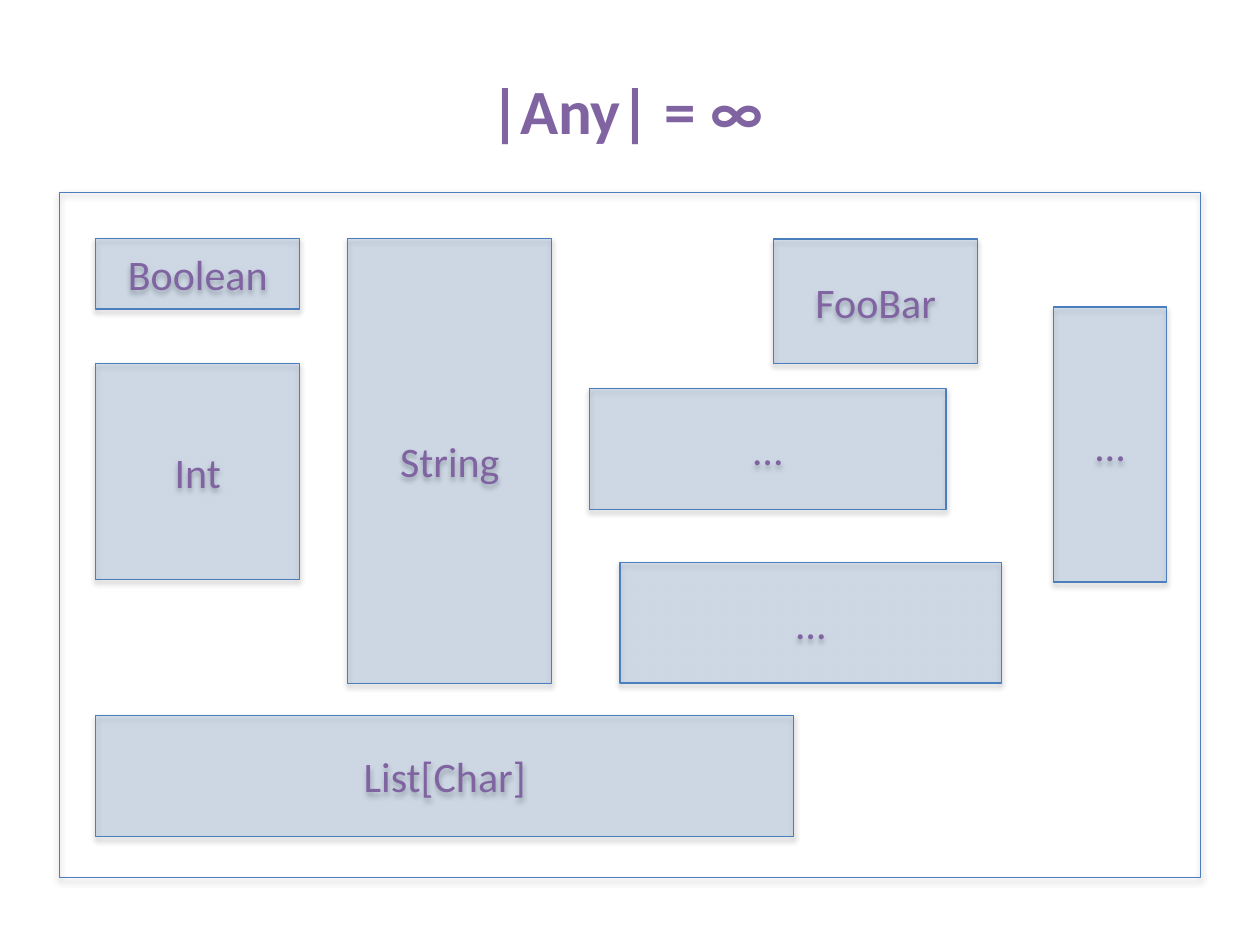
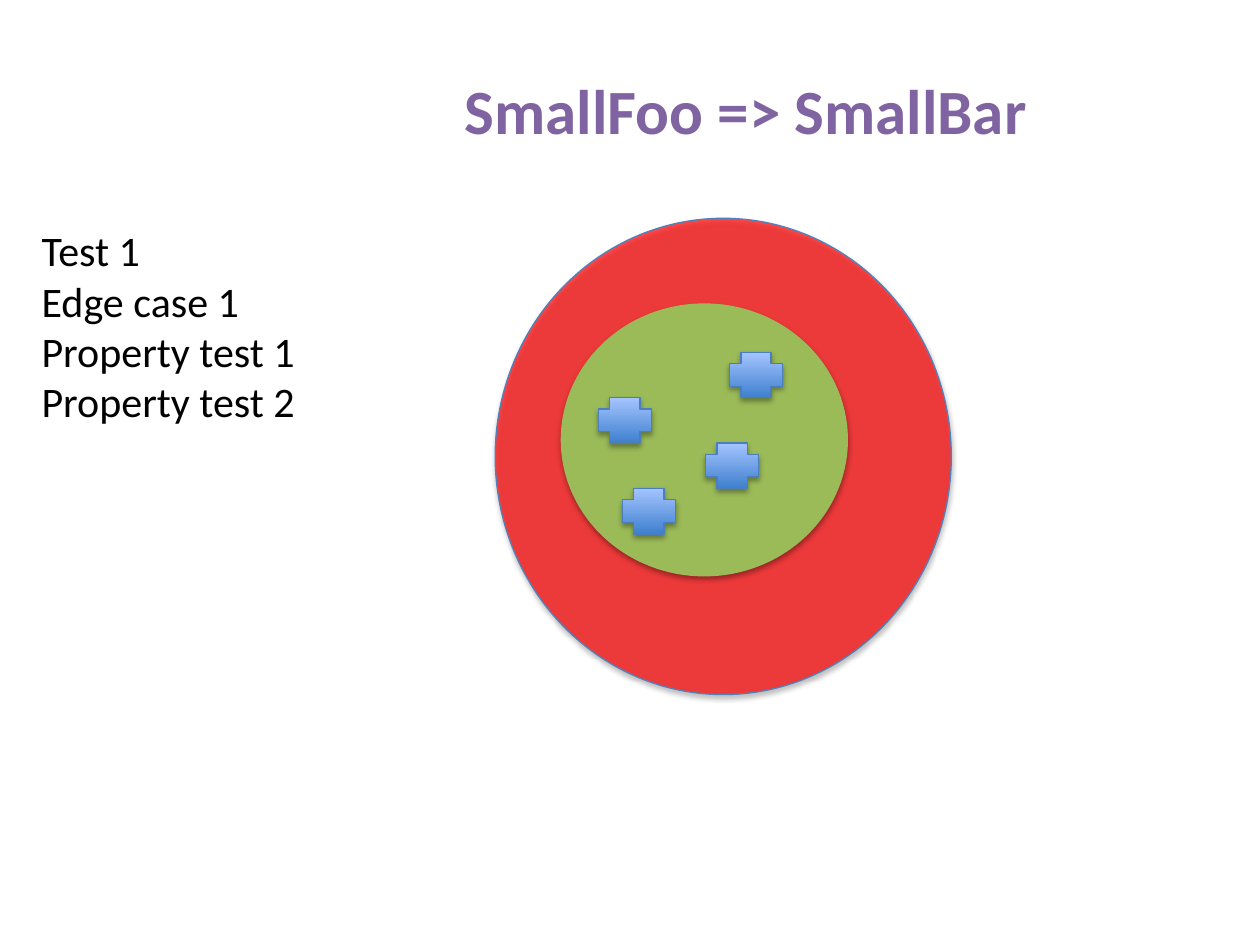
import pptx
import pptx.util
import pptx.dml.color
import pptx.enum.shapes
import pptx.enum.text
import pptx.oxml
import pptx.oxml.ns
import lxml.etree

HUES = {
    "purple": "8064A2",
    "blue": "4F81BD",
    "edge": "4B7EBC",
    "red": "FF0000",
    "green": "9BBB59",
    "dark": "3F80CE",
    "light": "A4C4FF",
    "black": "000000",
}
FONT = "Calibri"
WIDE, HIGH = pptx.util.Inches(10), pptx.util.Inches(7.5)
KINDS = pptx.enum.shapes.MSO_SHAPE
ALIGN = pptx.enum.text.PP_ALIGN
ANCHOR = pptx.enum.text.MSO_ANCHOR
FIT = pptx.enum.text.MSO_AUTO_SIZE
TAG = pptx.oxml.ns.qn


def hue(name):
    return pptx.dml.color.RGBColor.from_string(HUES[name])


def span(left, top, width, height):
    shares = (left, WIDE), (top, HIGH), (width, WIDE), (height, HIGH)
    return [round(share * full / 100) for share, full in shares]


def move(shape, *area):
    shape.left, shape.top, shape.width, shape.height = span(*area)


def write(shape, text, size=24, color="purple", bold=False,
          align=ALIGN.LEFT, anchor=ANCHOR.TOP, wrap=True, fit=FIT.NONE):
    frame = shape.text_frame
    frame.text = text
    frame.word_wrap = wrap
    frame.auto_size = fit
    frame.vertical_anchor = anchor
    for para in frame.paragraphs:
        props = para._p.get_or_add_pPr()
        props.set("marL", "0")
        props.set("indent", "0")
        lxml.etree.SubElement(props, TAG("a:buNone"))
        para.alignment = align
        para.space_before = pptx.util.Pt(0)
        para.font.name = FONT
        para.font.size = pptx.util.Pt(size)
        para.font.bold = bold
        para.font.color.rgb = hue(color)


def shade(shape):
    shape.shadow.inherit = False
    glow = shape.element.spPr.find(TAG("a:effectLst"))
    glow.append(pptx.oxml.parse_xml(
        f'<a:outerShdw {pptx.oxml.ns.nsdecls("a")} blurRad="{pptx.util.Pt(3.1)}" '
        f'dist="{pptx.util.Pt(1.8)}" dir="5400000" rotWithShape="0">'
        '<a:srgbClr val="000000"><a:alpha val="35000"/></a:srgbClr></a:outerShdw>'))


def draw(slide, kind, area, fill=None, alpha=100, line="edge"):
    shape = slide.shapes.add_shape(kind, *span(*area))
    if fill:
        shape.fill.solid()
        shape.fill.fore_color.rgb = hue(fill)
        if alpha < 100:
            color = shape.element.spPr.find(TAG("a:solidFill"))[0]
            lxml.etree.SubElement(color, TAG("a:alpha"), val=str(alpha * 1000))
    else:
        shape.fill.background()
    if line:
        shape.line.color.rgb = hue(line)
        shape.line.width = pptx.util.Pt(0.75)
    else:
        shape.line.fill.background()
    shade(shape)
    return shape


def box(slide, text, *area):
    shape = draw(slide, KINDS.RECTANGLE, area, "blue", 20)
    write(shape, text, align=ALIGN.CENTER, anchor=ANCHOR.MIDDLE)


def cross(slide, *area):
    shape = draw(slide, KINDS.CROSS, area)
    shape.fill.gradient()
    shape.fill.gradient_angle = 90
    for stop, name in zip(shape.fill.gradient_stops, ("dark", "light")):
        stop.color.rgb = hue(name)


def start(deck, layout, title, left, width):
    slide = deck.slides.add_slide(deck.slide_layouts[layout])
    head = slide.shapes.title
    move(head, left, 6.9, width, 9.5)
    write(head, title, size=36, bold=True, fit=FIT.SHAPE_TO_FIT_TEXT)
    return slide


def types(deck):
    slide = start(deck, 5, "|Any| = ∞", 37.9, 25.1)
    draw(slide, KINDS.RECTANGLE, (4.7, 20.4, 90.6, 72.5))
    left, top, wide, flat = 7.6, 25.2, 16.2, 12.8
    box(slide, "Boolean", left, top, wide, 7.5)
    box(slide, "Int", left, 38.5, wide, 22.8)
    box(slide, "String", left + 20, top, wide, 47.1)
    box(slide, "List[Char]", left, 75.7, 55.4, flat)
    box(slide, "FooBar", 61.4, 25.3, wide, 13.2)
    box(slide, "…", 46.8, 41.1, 28.3, flat)
    box(slide, "…", 49.2, 59.5, 30.3, flat)
    box(slide, "…", 83.6, 32.5, 9, 29.1)


def tests(deck):
    slide = start(deck, 1, "SmallFoo => SmallBar", 35.9, 48.5)
    draw(slide, KINDS.OVAL, (39.3, 23.1, 36.2, 50.4), "red", 70, "blue")
    items = ["Test 1", "Edge case 1", "Property test 1", "Property test 2"]
    body = slide.placeholders[1]
    move(body, 2.3, 23.1, 22.4, 22.9)
    write(body, "\n".join(items), color="black", wrap=False,
          fit=FIT.SHAPE_TO_FIT_TEXT)
    draw(slide, KINDS.OVAL, (44.5, 32.1, 22.8, 28.9), "green", line=None)
    step = 4.8
    for row, left in enumerate((57.9, 47.5, 56, 49.4)):
        cross(slide, left, 37.3 + row * step, 4.2, step)


def main():
    deck = pptx.Presentation()
    deck.slide_width, deck.slide_height = WIDE, HIGH
    types(deck)
    tests(deck)
    deck.save("out.pptx")


if __name__ == "__main__":
    main()
